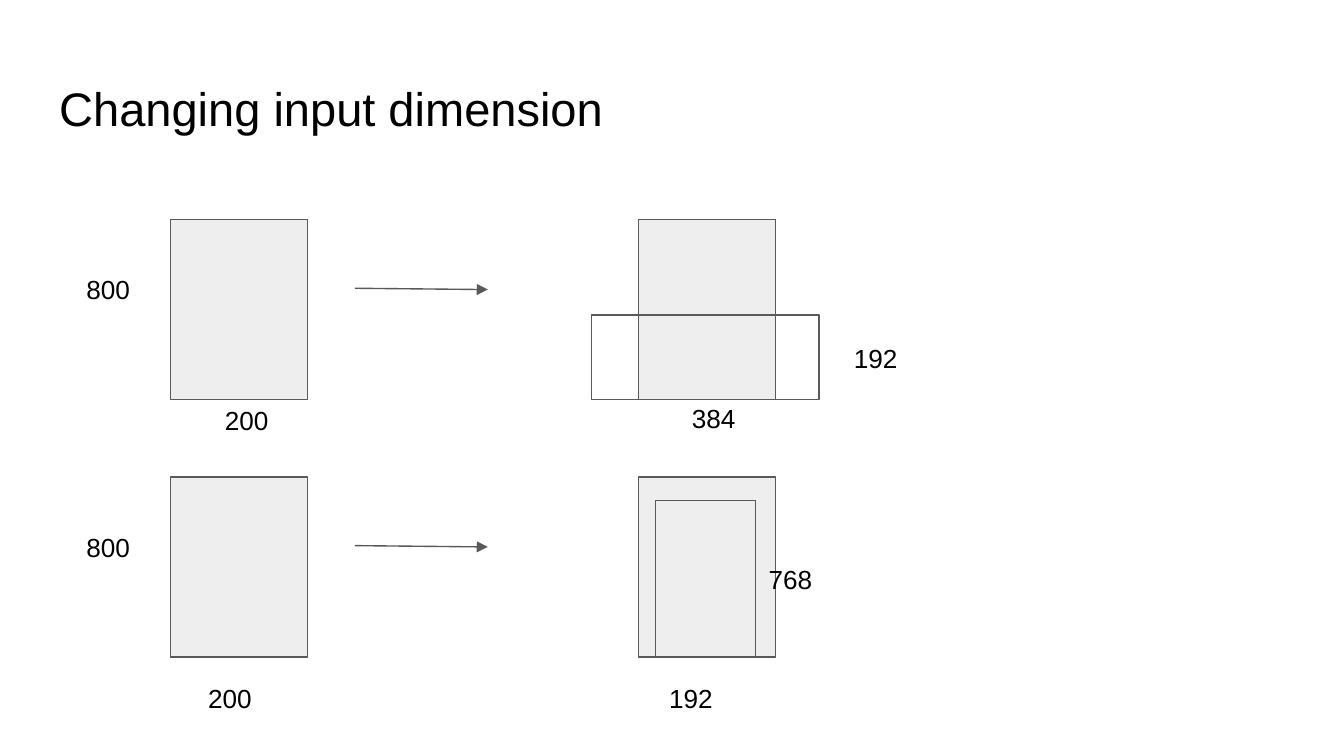
import pptx
import pptx.dml.color
import pptx.enum.shapes
import pptx.enum.text
import pptx.oxml
import pptx.util

RGB = pptx.dml.color.RGBColor.from_string
THEME = {
    "font": "Arial",
    "ink": RGB("000000"),
    "fill": RGB("EEEEEE"),
    "line": RGB("595959"),
    "title": pptx.util.Pt(25.2),
    "label": pptx.util.Pt(14),
    "stroke": pptx.util.Pt(0.75),
}

prs = pptx.Presentation()
prs.slide_width = pptx.util.Inches(10)
prs.slide_height = prs.slide_width * 9 // 16
UNIT = prs.slide_width // 100  # square grid, 100 columns wide

s = prs.slides.add_slide(prs.slide_layouts[5])


def grid(*cells):
    """Turn columns and rows into slide lengths."""
    return [round(c * UNIT) for c in cells]


def set_text(sp, text, size):
    tf = sp.text_frame
    tf.word_wrap = True
    tf.vertical_anchor = pptx.enum.text.MSO_ANCHOR.TOP
    tf.margin_left = tf.margin_right = tf.margin_top = tf.margin_bottom = UNIT
    p = tf.paragraphs[0]
    p.text = text
    p.alignment = pptx.enum.text.PP_ALIGN.LEFT
    p.font.name = THEME["font"]
    p.font.size = size
    p.font.color.rgb = THEME["ink"]


title = s.shapes.title
title.left, title.top, title.width, title.height = grid(3.4, 4.9, 93.2, 6.3)
set_text(title, "Changing input dimension", THEME["title"])

INPUT_COL, OUTPUT_COL = 12.7, 47.5
BOX_W, BOX_H = 10.2, 13.4
LABEL_H = 4.4

# Each example: top row, crop size (left, width, height), and
# labels as (text, left, top, width)
examples = [
    (16.35, (44, 16.95, 6.3),
     [("200", 15.75, 29.1, 7.4), ("800", 5.45, 19.35, 6.7),
      ("384", 50.5, 28.95, 7.4), ("192", 62.55, 24.45, 6.7)]),
    (35.5, (48.8, 7.4, 11.65),
     [("200", 14.5, 49.8, 7.4), ("800", 5.45, 38.55, 6.7),
      ("192", 48.8, 49.8, 7.4), ("768", 56.2, 40.95, 6.7)]),
]

for top, (crop_left, crop_w, crop_h), labels in examples:
    crop = (crop_left, top + BOX_H - crop_h, crop_w, crop_h)
    boxes = [(INPUT_COL, top, BOX_W, BOX_H), (OUTPUT_COL, top, BOX_W, BOX_H), crop]
    for box in boxes:
        sp = s.shapes.add_shape(pptx.enum.shapes.MSO_SHAPE.RECTANGLE, *grid(*box))
        sp.shadow.inherit = False
        sp.line.color.rgb = THEME["line"]
        sp.line.width = THEME["stroke"]
        if box is crop:
            sp.fill.background()
        else:
            sp.fill.solid()
            sp.fill.fore_color.rgb = THEME["fill"]

    arrow = s.shapes.add_connector(
        pptx.enum.shapes.MSO_CONNECTOR.STRAIGHT,
        *grid(26.4, top + 5.1, 36.3, top + 5.2))
    arrow.line.color.rgb = THEME["line"]
    arrow.line.width = THEME["stroke"]
    head = pptx.oxml.parse_xml(
        '<a:tailEnd xmlns:a="http://schemas.openxmlformats.org/drawingml/2006/main"'
        ' type="triangle"/>')
    arrow.line._get_or_add_ln().append(head)
    arrow._element.spPr.append(
        head.makeelement(pptx.oxml.ns.qn("a:effectLst"), {}))

    for text, left, label_top, width in labels:
        sp = s.shapes.add_textbox(*grid(left, label_top, width, LABEL_H))
        set_text(sp, text, THEME["label"])

prs.save("out.pptx")
